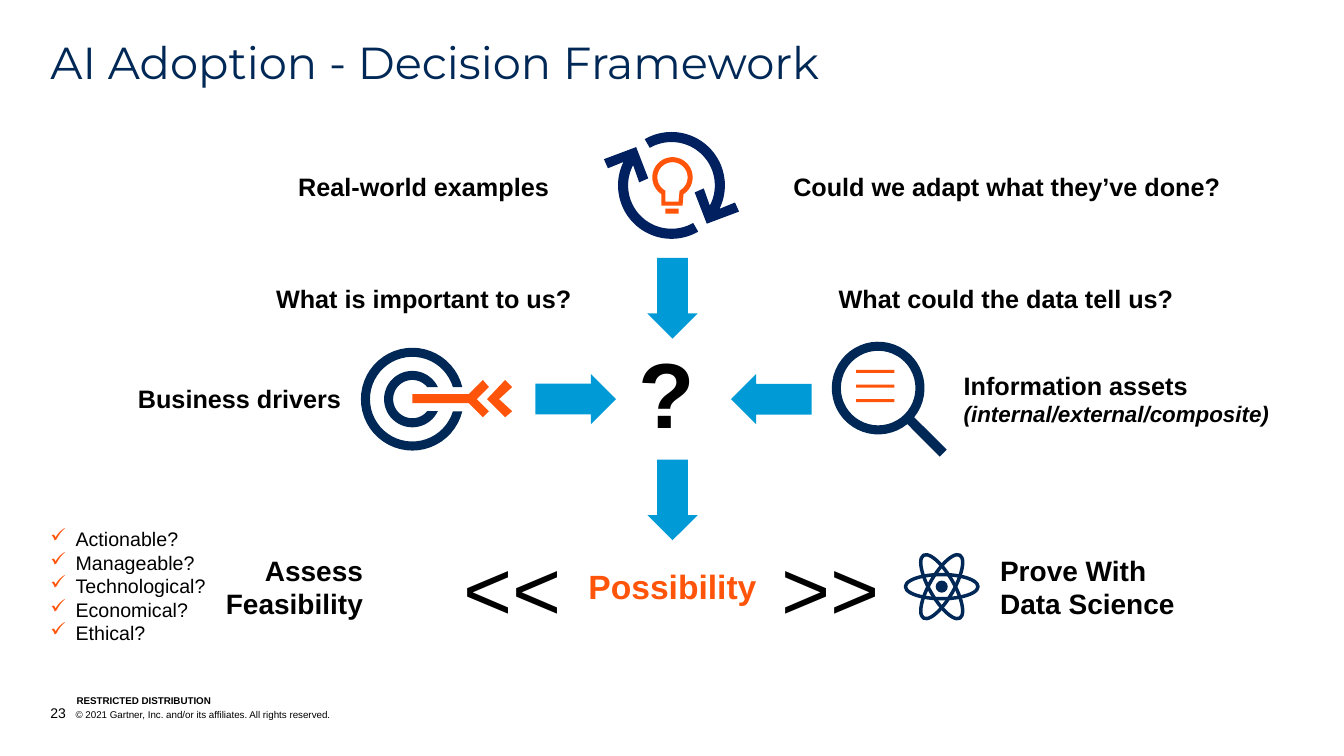
from dataclasses import dataclass
from math import asin, cos, degrees, radians, sin

from lxml import etree
from pptx import Presentation
from pptx import util as u
from pptx.dml import color
from pptx.enum import shapes, text
from pptx.oxml import ns

Point = tuple[float, float]
Path = list[Point]
Box = tuple[float, float, float, float]
KIND = shapes.MSO_SHAPE
LEFT, MID, RIGHT = text.PP_ALIGN.LEFT, text.PP_ALIGN.CENTER, text.PP_ALIGN.RIGHT
TOP, BASE = text.MSO_ANCHOR.TOP, text.MSO_ANCHOR.BOTTOM


@dataclass(frozen=True)
class Theme:
    navy: str = "002856"
    deep: str = "002060"
    blue: str = "009AD7"
    fire: str = "FF540A"
    ink: str = "000000"
    font: str = "Arial"
    head: str = "Montserrat"
    title: int = 32
    label: int = 18
    step: int = 20
    goal: int = 24
    note: int = 16
    item: int = 14
    page: int = 10
    foot: int = 7
    sign: int = 60
    ask: int = 66


@dataclass(frozen=True)
class Run:
    words: str
    size: int
    bold: bool = True
    slant: bool = False
    tint: str = Theme.ink
    font: str = Theme.font


@dataclass(frozen=True)
class Label:
    box: Box
    lines: list[list[Run]]
    align: text.PP_ALIGN = LEFT
    pad: Box = (0.1, 0.05, 0.1, 0.05)
    wrap: bool = True
    anchor: text.MSO_ANCHOR = TOP
    lead: float = 1.0
    hang: float = 0
    mark: str = ""


@dataclass(frozen=True)
class Form:
    kind: KIND
    box: Box
    fill: str = ""
    turn: float = 0
    adj: tuple[float, ...] = ()
    line: str = ""


@dataclass(frozen=True)
class Shape:
    paths: list[Path]
    fill: str


T = Theme()
FLAT = (0, 0, 0, 0)


def size(inch: float) -> u.Length:
    """Slide units are inches."""
    return u.Cm(inch * 2.54)


def tint(code: str) -> color.RGBColor:
    return color.RGBColor.from_string(code)


def arc(mid: Point, r: float, start: float, end: float) -> Path:
    """Points along a circle, angles clockwise from the right."""
    count = 48
    turns = [radians(start + (end - start) * i / count) for i in range(count + 1)]
    return [(mid[0] + r * cos(a), mid[1] + r * sin(a)) for a in turns]


def bar(x: float, y: float, w: float, h: float) -> Path:
    return [(x, y), (x + w, y), (x + w, y + h), (x, y + h)]


def ring(mid: Point, out: float, hole: float, gap: float) -> Path:
    """A ring with a level slot, gap high on each side, at its right."""
    a, b = degrees(asin(gap / out)), degrees(asin(gap / hole))
    return arc(mid, out, a, 360 - a) + arc(mid, hole, 360 - b, b)


def spin(path: Path, mid: Point) -> Path:
    """Half a turn about mid."""
    return [(2 * mid[0] - x, 2 * mid[1] - y) for x, y in path]


def paint(item, fill: str, line: str = "") -> None:
    item.shadow.inherit = False
    if fill:
        item.fill.solid()
        item.fill.fore_color.rgb = tint(fill)
    else:
        item.fill.background()
    if line:
        item.line.color.rgb = tint(line)
        item.line.width = u.Pt(2.5)
    else:
        item.line.fill.background()


def draw_shape(slide, part: Shape) -> None:
    paths = [[(size(x), size(y)) for x, y in path] for path in part.paths]
    pen = slide.shapes.build_freeform(*paths[0][0], scale=1.0)
    for i, path in enumerate(paths):
        if i:
            pen.move_to(*path[0])
        pen.add_line_segments(path[1:], close=True)
    paint(pen.convert_to_shape(), part.fill)


def draw_form(slide, part: Form) -> None:
    item = slide.shapes.add_shape(part.kind, *map(size, part.box))
    item.rotation = part.turn
    for i, value in enumerate(part.adj):
        item.adjustments[i] = value
    paint(item, part.fill, part.line)


def draw_label(slide, part: Label) -> None:
    frame = slide.shapes.add_textbox(*map(size, part.box)).text_frame
    frame.word_wrap, frame.vertical_anchor = part.wrap, part.anchor
    (frame.margin_left, frame.margin_top,
     frame.margin_right, frame.margin_bottom) = map(size, part.pad)
    for i, line in enumerate(part.lines):
        para = frame.add_paragraph() if i else frame.paragraphs[0]
        para.alignment, para.line_spacing = part.align, part.lead
        props = para._p.get_or_add_pPr()
        if part.hang:
            props.set("marL", str(size(part.hang)))
            props.set("indent", str(-size(part.hang)))
        if part.mark:
            hue = etree.SubElement(props, ns.qn("a:buClr"))
            etree.SubElement(hue, ns.qn("a:srgbClr")).set("val", T.fire)
            etree.SubElement(props, ns.qn("a:buChar")).set("char", part.mark)
        for bit in line:
            for j, words in enumerate(bit.words.split("\n")):
                if j:
                    para.add_line_break()
                run = para.add_run()
                run.text = words
                font = run.font
                font.name, font.size = bit.font, u.Pt(bit.size)
                font.bold, font.italic = bit.bold, bit.slant
                font.color.rgb = tint(bit.tint)


# Icon centres
LOOP, BULB, LENS, GOAL, ATOM = (6.66, 1.84), (6.67, 1.76), (8.71, 3.85), (4.09, 3.96), (9.34, 5.82)
SWEEP = (arc(LOOP, 0.53, -120, 26)
         + [(7.29, 2.01), (7.33, 2.1), (7.01, 2.22), (6.89, 1.91), (6.98, 1.87), (7.04, 2.04)]
         + arc(LOOP, 0.43, 28, -120))

SHAPES = [
    # Cycle and light bulb
    Shape([SWEEP, spin(SWEEP, LOOP)], T.deep),
    Shape([arc(BULB, 0.2, 123, 417) + [(6.77, 2.04), (6.56, 2.04)],
           arc(BULB, 0.15, 118, 422) + [(6.73, 2), (6.6, 2)],
           bar(6.6, 2.07, 0.13, 0.05)], T.fire),
    # Magnifier with lines
    Shape([bar(8.49, 3.67 + 0.145 * i, 0.38, 0.03) for i in range(3)], T.fire),
    Shape([arc(LENS, 0.46, 51, 399) + [(9.39, 4.46), (9.32, 4.53)],
           arc(LENS, 0.37, 0, 360)], T.navy),
    # Target and dart
    Shape([ring(GOAL, 0.51, 0.42, 0.12)], T.navy),
    Shape([ring(GOAL, 0.28, 0.19, 0.12)], T.navy),
    Shape([[(4.79, 3.77), (4.85, 3.84), (4.73, 3.96), (4.85, 4.08), (4.79, 4.14),
            (4.65, 4), (4.09, 4), (4.09, 3.91), (4.65, 3.91)]], T.fire),
    Shape([[(4.83, 3.96), (5.01, 3.77), (5.08, 3.84), (4.95, 3.96), (5.08, 4.08), (5.01, 4.14)]], T.fire),
]

# Block arrows around the question
FORMS = [Form(KIND.RIGHT_ARROW, (x, y, 0.8, 0.5), T.blue, turn, (0.61, 0.5))
         for x, y, turn in [(5.31, 3.71, 0), (7.25, 3.71, 180), (6.27, 2.71, 90), (6.27, 4.71, 90)]]
# Atom
FORMS += [Form(KIND.OVAL, (ATOM[0] - 0.36, ATOM[1] - 0.12, 0.72, 0.24), turn=turn, line=T.navy)
          for turn in (0, 60, 120)]
FORMS.append(Form(KIND.OVAL, (ATOM[0] - 0.06, ATOM[1] - 0.06, 0.12, 0.12), T.navy))

CHECKS = ["Actionable?", "Manageable?", "Technological?", "Economical?", "Ethical?"]
LABELS = [
    # Title and footer
    Label((0.5, 0.4, 12.33, 0.49),
          [[Run("AI Adoption - Decision Framework", T.title, False, tint=T.navy, font=T.head)]],
          pad=FLAT, lead=0.9),
    Label((0.76, 6.89, 2.53, 0.12), [[Run("RESTRICTED DISTRIBUTION", T.foot)]], pad=FLAT, anchor=BASE),
    Label((0.5, 6.99, 7.99, 0.17),
          [[Run("23", T.page, False),
            Run("\t© 2021 Gartner, Inc. and/or its affiliates. All rights reserved.", T.foot, False)]],
          pad=FLAT, anchor=BASE, hang=0.25),
    # Inputs
    Label((1.27, 3.75, 2.26, 0.4), [[Run("Business drivers", T.label)]]),
    Label((9.46, 3.62, 3.29, 0.67),
          [[Run("Information assets", T.label)],
           [Run("(internal/external/composite)", T.note, slant=True)]]),
    Label((6.3, 3.41, 0.73, 1.09), [[Run("?", T.ask)]], MID, (0, 0.05, 0.1, 0.05), lead=0.9),
    # Outcome row
    Label((5.73, 5.57, 1.88, 0.5), [[Run("Possibility", T.goal, tint=T.fire)]], MID),
    Label((2.06, 5.44, 1.64, 0.77), [[Run("Assess Feasibility", T.step)]], RIGHT),
    Label((9.82, 5.44, 2.02, 0.77), [[Run("Prove With\nData Science", T.step)]]),
    Label((0.5, 5.18, 1.94, 1.28), [[Run(words, T.item, False)] for words in CHECKS],
          pad=(0, 0.05, 0.1, 0.05), hang=0.25, mark="✓"),
]
LABELS += [Label((x, 5.27, 1.18, 1.11), [[Run(sign, T.sign, False)]])
           for x, sign in [(4.5, "<<"), (7.65, ">>")]]
# Questions beside the icons
LABELS += [Label((x, y, w, 0.4), [[Run(words, T.label)]], wrap=False) for x, y, w, words in [
    (2.86, 1.65, 2.74, "Real-world examples"),
    (7.77, 1.65, 4.46, "Could we adapt what they’ve done?"),
    (2.64, 2.76, 3.16, "What is important to us?"),
    (8.22, 2.76, 3.55, "What could the data tell us?")]]


def main() -> None:
    deck = Presentation()
    deck.slide_width, deck.slide_height = size(13.33), size(7.5)
    slide = deck.slides.add_slide(deck.slide_layouts[6])
    for draw, parts in [(draw_shape, SHAPES), (draw_form, FORMS), (draw_label, LABELS)]:
        for part in parts:
            draw(slide, part)
    deck.save("out.pptx")


if __name__ == "__main__":
    main()
